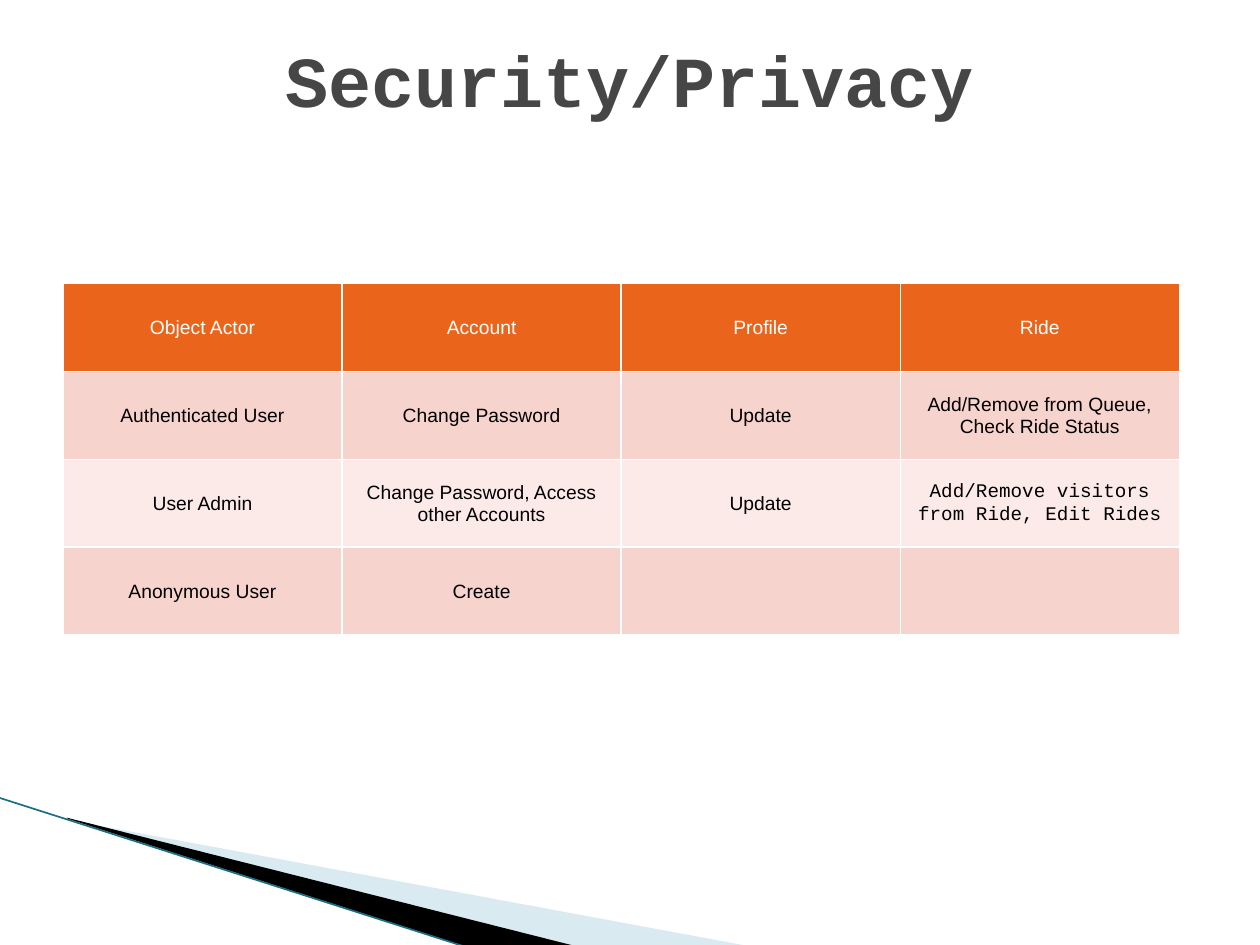
from dataclasses import dataclass

from lxml.etree import SubElement
from pptx import Presentation
from pptx.dml.color import RGBColor
from pptx.enum.shapes import MSO_CONNECTOR
from pptx.enum.text import MSO_ANCHOR, PP_ALIGN
from pptx.oxml.ns import qn
from pptx.util import Pt


@dataclass(frozen=True)
class Theme:
    title_color: str = "464646"
    header_fill: str = "EB641B"
    header_text: str = "FFFFFF"
    body_text: str = "000000"
    odd_fill: str = "F7D3CD"
    even_fill: str = "FBEAE8"
    border: str = "FFFFFF"
    pale_wedge: str = "A0CBDC"
    dark_wedge: str = "000000"
    edge: str = "1B6E84"
    sans: str = "Arial"
    mono: str = "Courier New"
    title_size: float = 41
    table_size: float = 11


class SlideBuilder:
    def __init__(self, page, theme):
        self.page = page
        self.theme = theme

    def add_text(self, frame, text, font, size, color, bold=False):
        para = frame.paragraphs[0]
        para.alignment = PP_ALIGN.CENTER
        span = para.add_run()
        span.text = text
        span.font.name = font
        span.font.size = Pt(size)
        span.font.bold = bold
        span.font.color.rgb = RGBColor.from_string(color)

    def title(self, text, left, top, width, height):
        box = self.page.shapes.add_textbox(Pt(left), Pt(top), Pt(width), Pt(height))
        frame = box.text_frame
        frame.word_wrap = True
        frame.vertical_anchor = MSO_ANCHOR.MIDDLE
        theme = self.theme
        self.add_text(frame, text, theme.mono, theme.title_size, theme.title_color, True)

    def wedge(self, points, color, opacity=100):
        start, *rest = [(Pt(x), Pt(y)) for x, y in points]
        builder = self.page.shapes.build_freeform(*start)
        builder.add_line_segments(rest, close=True)
        shape = builder.convert_to_shape()
        shape.shadow.inherit = False
        shape.line.fill.background()
        shape.fill.solid()
        shape.fill.fore_color.rgb = RGBColor.from_string(color)
        if opacity < 100:
            color_element = shape._element.spPr.find(qn("a:solidFill"))[0]
            SubElement(color_element, qn("a:alpha"), val=str(opacity * 1000))

    def line(self, start, end, color, width):
        ends = [Pt(value) for value in (*start, *end)]
        connector = self.page.shapes.add_connector(MSO_CONNECTOR.STRAIGHT, *ends)
        connector.line.color.rgb = RGBColor.from_string(color)
        connector.line.width = Pt(width)
        SubElement(connector._element.spPr, qn("a:effectLst"))

    def cell_borders(self, cell, width):
        properties = cell._tc.get_or_add_tcPr()
        for side in ("lnL", "lnR", "lnT", "lnB"):
            border = SubElement(properties, qn(f"a:{side}"), w=str(Pt(width)))
            fill = SubElement(border, qn("a:solidFill"))
            SubElement(fill, qn("a:srgbClr"), val=self.theme.border)

    def table(self, rows, left, top, width, height, mono_cells=()):
        theme = self.theme
        table = self.page.shapes.add_table(
            len(rows), len(rows[0]), Pt(left), Pt(top), Pt(width), Pt(height)
        ).table
        for row_index, row in enumerate(rows):
            if row_index == 0:
                fill, color = theme.header_fill, theme.header_text
            else:
                fill = theme.odd_fill if row_index % 2 else theme.even_fill
                color = theme.body_text
            for column_index, text in enumerate(row):
                cell = table.cell(row_index, column_index)
                self.cell_borders(cell, 1)
                cell.fill.solid()
                cell.fill.fore_color.rgb = RGBColor.from_string(fill)
                cell.vertical_anchor = MSO_ANCHOR.MIDDLE
                cell.margin_left = cell.margin_right = cell.margin_top = Pt(0.75)
                cell.margin_bottom = Pt(0)
                if text:
                    mono = (row_index, column_index) in mono_cells
                    font = theme.mono if mono else theme.sans
                    self.add_text(cell.text_frame, text, font, theme.table_size, color)


def main():
    deck = Presentation()
    deck.slide_width, deck.slide_height = Pt(720), Pt(540)
    theme = Theme()
    builder = SlideBuilder(deck.slides.add_slide(deck.slide_layouts[6]), theme)

    builder.wedge(
        [(39.6, 468.7), (428.4, 540.7), (328.3, 540.7), (39.6, 468)],
        theme.pale_wedge,
        opacity=40,
    )
    builder.wedge(
        [(38.2, 467.3), (329, 540.7), (267.8, 541.4), (38.9, 468)],
        theme.dark_wedge,
    )
    builder.line((-0.7, 455.8), (267.1, 541.4), theme.edge, 0.95)

    builder.title("Security/Privacy", 36, 0, 648, 90)
    builder.table(
        [
            ("Object Actor", "Account", "Profile", "Ride"),
            (
                "Authenticated User",
                "Change Password",
                "Update",
                "Add/Remove from Queue, Check Ride Status",
            ),
            (
                "User Admin",
                "Change Password, Access other Accounts",
                "Update",
                "Add/Remove visitors from Ride, Edit Rides",
            ),
            ("Anonymous User", "Create", "", ""),
        ],
        36, 162, 638, 201,
        mono_cells={(2, 3)},
    )
    deck.save("out.pptx")


if __name__ == "__main__":
    main()
